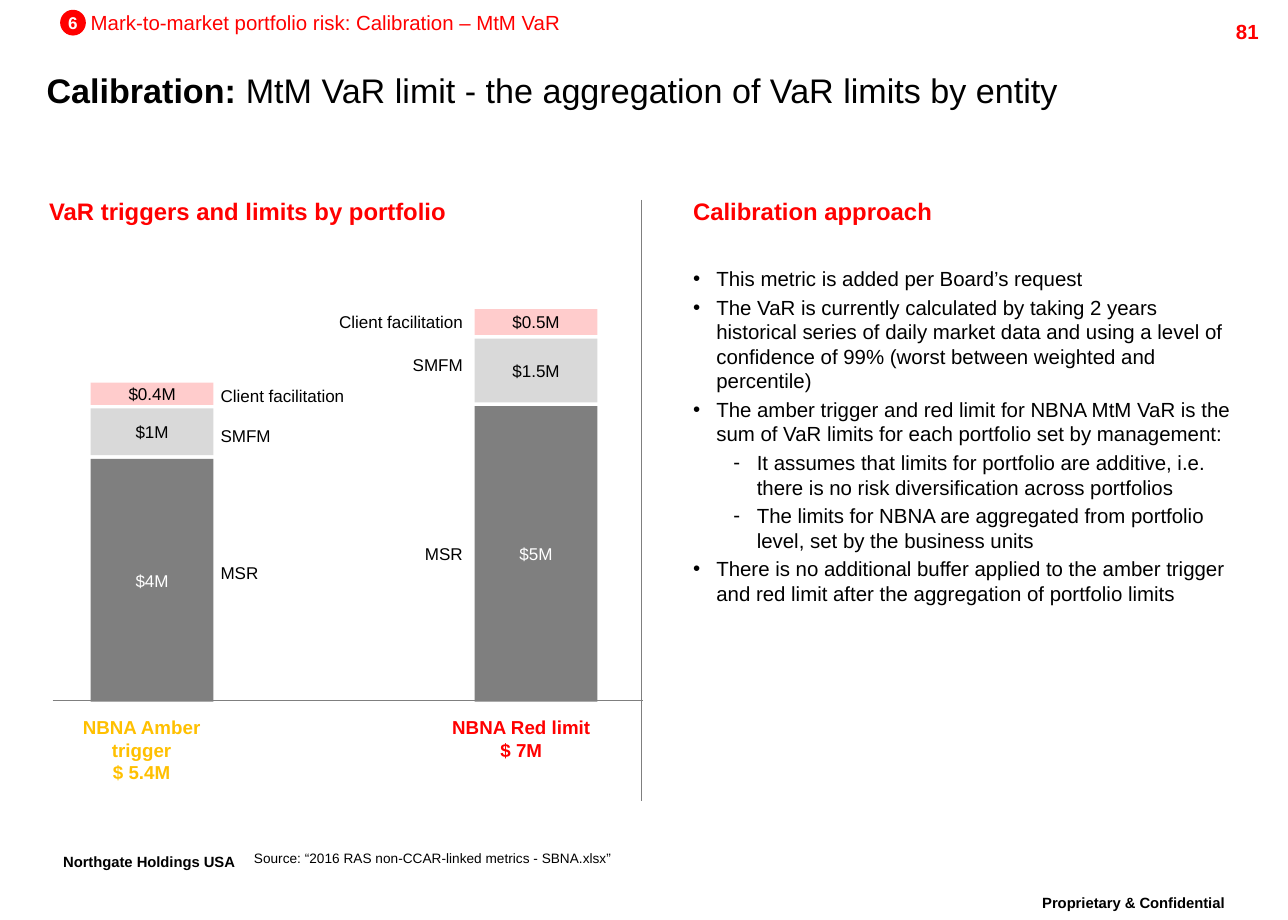
from dataclasses import dataclass

from lxml import etree
from pptx import Presentation
from pptx.dml.color import RGBColor
from pptx.enum.shapes import MSO_CONNECTOR, MSO_SHAPE
from pptx.enum.text import MSO_ANCHOR, PP_ALIGN
from pptx.oxml.ns import qn
from pptx.util import Inches, Pt

LEFT, CENTER, RIGHT = PP_ALIGN.LEFT, PP_ALIGN.CENTER, PP_ALIGN.RIGHT
TOP, MIDDLE, BOTTOM = MSO_ANCHOR.TOP, MSO_ANCHOR.MIDDLE, MSO_ANCHOR.BOTTOM
RECTANGLE, OVAL = MSO_SHAPE.RECTANGLE, MSO_SHAPE.OVAL
STRAIGHT = MSO_CONNECTOR.STRAIGHT

COLUMNS, ROWS = 105, 75  # square grid units of a tenth of an inch
DEFAULT_INSETS = (1, 0.5)
NO_INSETS = (0, 0)


@dataclass(frozen=True)
class Theme:
    font: str = "Arial"
    black: str = "000000"
    white: str = "FFFFFF"
    red: str = "FF0000"
    amber: str = "FFC000"
    gray: str = "7F7F7F"
    light_gray: str = "D9D9D9"
    pink: str = "FFCCCC"
    title: int = 20
    footer: int = 15
    heading: int = 14
    body: int = 12
    total: int = 11
    label: int = 10
    source: int = 8
    line: float = 0.75


THEME = Theme()

BAR_WIDTH, BAR_GAP, BAR_BASE = 10, 0.3, 57.2
PORTFOLIOS = [("MSR", THEME.gray, THEME.white),
              ("SMFM", THEME.light_gray, THEME.black),
              ("Client facilitation", THEME.pink, THEME.black)]
# Each segment: value, height, top of its label, width of its label
AMBER_SEGMENTS = [("$4M", 19.8, 45.4, 6), ("$1M", 3.8, 34.2, 8.4), ("$0.4M", 1.8, 30.9, 15.2)]
RED_SEGMENTS = [("$5M", 24.1, 43.8, 6), ("$1.5M", 5.2, 28.4, 7), ("$0.5M", 2.1, 24.9, 12.8)]

# Each bullet: mark, left indent, text
BULLETS = [
    ("•", 1.9, "This metric is added per Board’s request"),
    ("•", 1.9, "The VaR is currently calculated by taking 2 years historical series of daily "
               "market data and using a level of confidence of 99% (worst between weighted "
               "and percentile)"),
    ("•", 1.9, "The amber trigger and red limit for NBNA MtM VaR is the sum of VaR limits for "
               "each portfolio set by management:"),
    ("-", 5.2, "It assumes that limits for portfolio are additive, i.e. there is no risk "
               "diversification across portfolios"),
    ("-", 5.2, "The limits for NBNA are aggregated from portfolio level, set by the business "
               "units"),
    ("•", 1.9, "There is no additional buffer applied to the amber trigger and red limit after "
               "the aggregation of portfolio limits"),
]


def grid(*units):
    return [Inches(unit / 10) for unit in units]


def set_frame(box, insets=DEFAULT_INSETS, anchor=TOP, wrap=True):
    frame = box.text_frame
    frame.word_wrap = wrap
    frame.vertical_anchor = anchor
    frame.margin_left = frame.margin_right = grid(insets[0])[0]
    frame.margin_top = frame.margin_bottom = grid(insets[1])[0]
    return frame


def add_span(para, text, size, color=THEME.black, bold=False, raised=False):
    span = para.add_run()
    span.text = text
    span.font.name = THEME.font
    span.font.size = Pt(size)
    span.font.bold = bold
    span.font.color.rgb = RGBColor.from_string(color)
    if raised:
        span.font._element.set("baseline", "30000")


def add_text(page, area, text, size, align=LEFT, spacing=None, insets=DEFAULT_INSETS,
             anchor=TOP, wrap=True, **style):
    """Add a text box with one paragraph for each line of the text."""
    frame = set_frame(page.shapes.add_textbox(*grid(*area)), insets, anchor, wrap)
    for index, line in enumerate(text.split("\n")):
        para = frame.add_paragraph() if index else frame.paragraphs[0]
        para.alignment = align
        if spacing:
            para.line_spacing = spacing
        add_span(para, line, size, **style)
    return frame


def add_filled_shape(page, kind, area, fill, text, color, bold=False, wrap=True):
    shape = page.shapes.add_shape(kind, *grid(*area))
    shape.shadow.inherit = False
    shape.fill.solid()
    shape.fill.fore_color.rgb = RGBColor.from_string(fill)
    shape.line.fill.background()
    para = set_frame(shape, (0.8, 0), MIDDLE, wrap).paragraphs[0]
    para.alignment = CENTER
    add_span(para, text, THEME.label, color, bold)


def add_rule(page, *ends):
    rule = page.shapes.add_connector(STRAIGHT, *grid(*ends))
    rule.line.color.rgb = RGBColor.from_string(THEME.gray)
    rule.line.width = Pt(THEME.line)
    etree.SubElement(rule._element.spPr, qn("a:effectLst"))


def add_stack(page, left, segments, label_edge, label_align):
    """Stack segments upwards from the base; label_edge is the labels' aligned side."""
    bottom = BAR_BASE
    for (name, fill, color), segment in zip(PORTFOLIOS, segments):
        value, height, label_top, label_width = segment
        add_filled_shape(page, RECTANGLE, (left, bottom - height, BAR_WIDTH, height),
                         fill, value, color)
        label_left = label_edge - label_width if label_align == RIGHT else label_edge
        add_text(page, (label_left, label_top, label_width, 2.7), name, THEME.label,
                 label_align)
        bottom -= height + BAR_GAP


def add_bullets(page, area, bullets):
    frame = set_frame(page.shapes.add_textbox(*grid(*area)), NO_INSETS)
    for index, (mark, indent, text) in enumerate(bullets):
        para = frame.add_paragraph() if index else frame.paragraphs[0]
        properties = para._p.get_or_add_pPr()
        properties.set("marL", str(grid(indent)[0]))
        properties.set("indent", str(grid(-1.9)[0]))
        etree.SubElement(properties, qn("a:buFont"), typeface=THEME.font)
        etree.SubElement(properties, qn("a:buChar"), char=mark)
        if index:
            para.space_before = Pt(0.2 * THEME.body)
        add_span(para, text, THEME.body)


def add_header(page):
    add_filled_shape(page, OVAL, (4.9, 0.8, 2.1, 2.1), THEME.red, "6", THEME.white,
                     bold=True, wrap=False)
    add_text(page, (7.4, 0.8, 38.6, 2), "Mark-to-market portfolio risk: Calibration – MtM VaR",
             THEME.body, color=THEME.red, insets=NO_INSETS, wrap=False)
    add_text(page, (93.6, 1.1, 10, 2.4), "81", THEME.body, RIGHT, color=THEME.red, bold=True)
    title = add_text(page, (3.8, 4.9, 94.8, 4.8), "Calibration: ", THEME.title, bold=True,
                     insets=NO_INSETS, anchor=MIDDLE)
    add_span(title.paragraphs[0], "MtM VaR limit - the aggregation of VaR limits by entity",
             THEME.title)


def add_footer(page):
    footer = dict(size=THEME.footer, align=CENTER, spacing=0.86, bold=True, raised=True)
    add_text(page, (81.5, 72.5, 21.8, 3.5), "Proprietary & Confidential", **footer)
    add_text(page, (2.6, 69.1, 19.1, 3.5), "Northgate Holdings USA", wrap=False, **footer)
    add_text(page, (20.7, 69.3, 74.5, 1.3),
             "Source: “2016 RAS non-CCAR-linked metrics - SBNA.xlsx”", THEME.source,
             insets=NO_INSETS, anchor=BOTTOM)


def main():
    deck = Presentation()
    deck.slide_width, deck.slide_height = grid(COLUMNS, ROWS)
    page = deck.slides.add_slide(deck.slide_layouts[6])
    add_header(page)

    heading = dict(size=THEME.heading, color=THEME.red, bold=True, insets=NO_INSETS)
    add_text(page, (4, 16, 43.2, 2.4), "VaR triggers and limits by portfolio", **heading)
    add_text(page, (56.5, 16, 28.2, 2.4), "Calibration approach", **heading)

    add_rule(page, 4.3, 57.1, 52.4, 57.1)
    add_rule(page, 52.3, 16.3, 52.3, 65.3)
    add_stack(page, 7.4, AMBER_SEGMENTS, 17, LEFT)
    add_stack(page, 38.7, RED_SEGMENTS, 38.7, RIGHT)
    total = dict(size=THEME.total, align=CENTER, bold=True)
    add_text(page, (3.8, 57.9, 15.5, 6.6), "NBNA Amber trigger\n$ 5.4M", color=THEME.amber, **total)
    add_text(page, (34.1, 57.9, 16.8, 4.7), "NBNA Red limit\n$ 7M", color=THEME.red, **total)

    add_bullets(page, (56.5, 21.7, 44.4, 32.7), BULLETS)
    add_footer(page)
    deck.save("out.pptx")


if __name__ == "__main__":
    main()
